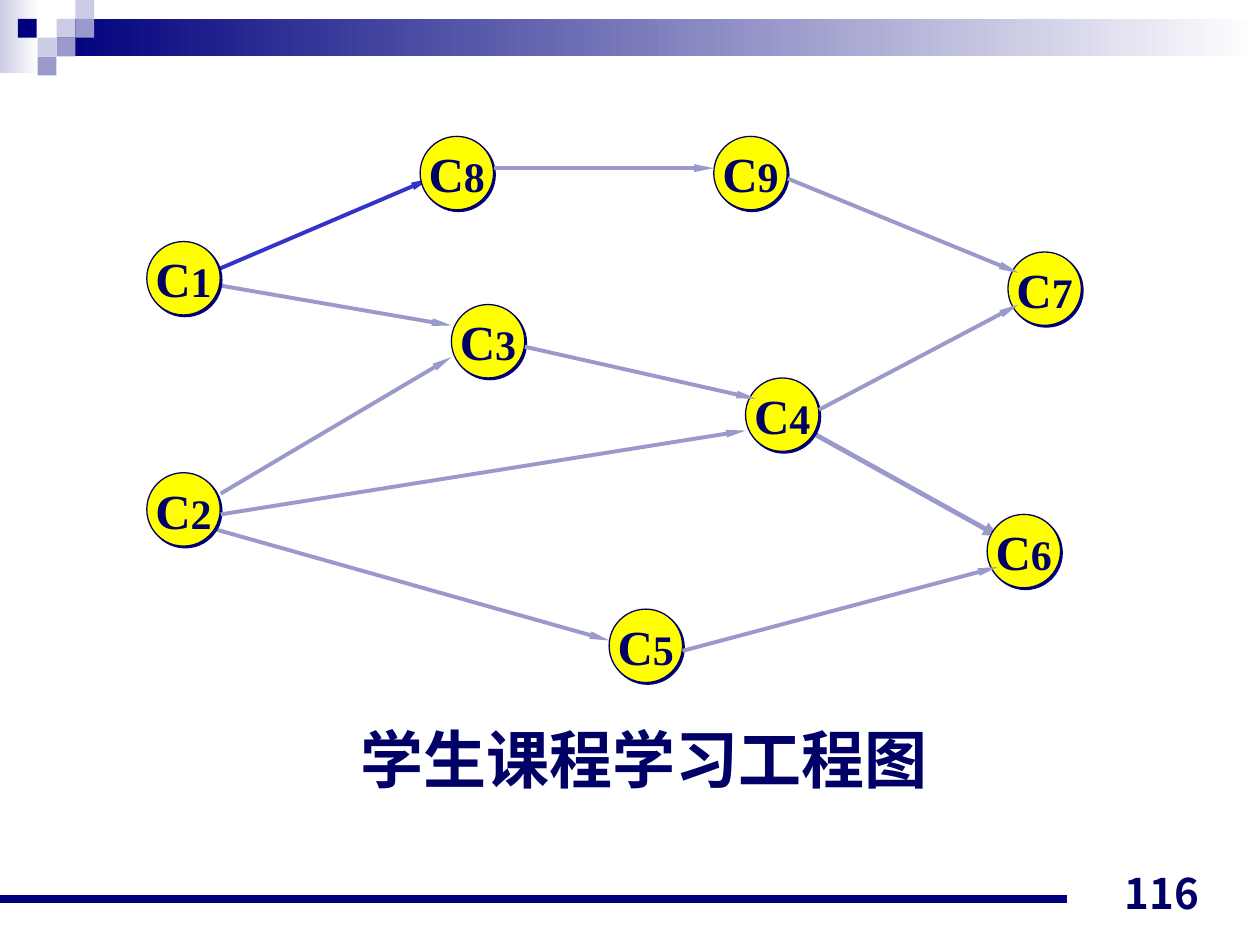
"""Build the course-study project graph slide."""
from typing import NamedTuple

from lxml.etree import SubElement
from pptx import Presentation
from pptx.dml.color import RGBColor
from pptx.enum.shapes import MSO_CONNECTOR, MSO_SHAPE
from pptx.enum.text import MSO_ANCHOR, PP_ALIGN
from pptx.oxml.ns import qn
from pptx.util import Cm, Pt

NAVY, INK, BLUE = "00007D", "000066", "3333CC"
LIGHT, MID, WHITE, YELLOW = "CCCCE6", "9999CC", "FFFFFF", "FFFF00"
SERIF, SANS = "Times New Roman", "Noto Sans CJK JP"
SQUARE, NODE = 0.38, 1.48


class Square(NamedTuple):
    col: float
    row: int
    color: str


class Band(NamedTuple):
    x: float
    y: float
    w: float
    h: float
    color: str


class Node(NamedTuple):
    number: str
    x: float
    y: float


class Edge(NamedTuple):
    x1: float
    y1: float
    x2: float
    y2: float
    color: str = MID
    width: float = 2.25
    head: tuple[str, str] | None = ("sm", "lg")


BANDS = [Band(0, 0, 0.79, 1.47, LIGHT), Band(1.14, 0.38, 24.26, 0.76, NAVY)]
SQUARES = [
    Square(3, 1, LIGHT), Square(4, 0, LIGHT), Square(4, 1, MID),
    Square(2, 2, LIGHT), Square(0.95, 1, NAVY), Square(3, 2, MID),
    Square(2, 3, MID),
]
FOOTER_RULE = Edge(0, 18.13, 21.51, 18.13, NAVY, 4.5, None)
BACK_EDGES = [
    Edge(16.31, 8.69, 20.11, 10.8, width=2.75, head=("med", "med")),
    Edge(4.02, 10.58, 12.28, 12.91),
    Edge(4.45, 9.95, 9.1, 7.2),
    Edge(4.23, 5.72, 9.1, 6.56),
    Edge(4.23, 5.5, 8.68, 3.6, BLUE),
]
NODES = [
    Node("8", 8.47, 2.75), Node("3", 9.1, 6.14), Node("5", 12.28, 12.28),
    Node("4", 15.03, 7.62), Node("9", 14.39, 2.75), Node("6", 19.9, 10.37),
    Node("7", 20.32, 5.08), Node("1", 2.96, 4.87), Node("2", 2.96, 9.53),
]
FRONT_EDGES = [
    Edge(9.95, 3.39, 14.39, 3.39),
    Edge(10.58, 6.99, 15.24, 8.04),
    Edge(4.45, 10.37, 15.03, 8.68),
    Edge(15.88, 3.6, 20.53, 5.5),
    Edge(16.51, 8.26, 20.53, 6.14),
    Edge(13.76, 13.12, 20.11, 11.43),
]


def rgb(color: str) -> RGBColor:
    return RGBColor.from_string(color)


def add_shape(s, kind, x: float, y: float, w: float, h: float):
    sp = s.shapes.add_shape(kind, Cm(x), Cm(y), Cm(w), Cm(h))
    sp.shadow.inherit = False
    sp.line.fill.background()
    return sp


def add_band(s, band: Band) -> None:
    sp = add_shape(s, MSO_SHAPE.RECTANGLE, band.x, band.y, band.w, band.h)
    sp.fill.gradient()
    sp.fill.gradient_angle = 0
    for stop, color in zip(sp.fill.gradient_stops, (band.color, WHITE)):
        stop.color.rgb = rgb(color)


def add_square(s, square: Square) -> None:
    sp = add_shape(s, MSO_SHAPE.RECTANGLE, square.col * SQUARE,
                   square.row * SQUARE, SQUARE, SQUARE)
    sp.fill.solid()
    sp.fill.fore_color.rgb = rgb(square.color)


def add_edge(s, edge: Edge) -> None:
    line = s.shapes.add_connector(MSO_CONNECTOR.STRAIGHT, Cm(edge.x1),
                                  Cm(edge.y1), Cm(edge.x2), Cm(edge.y2))
    line.line.color.rgb = rgb(edge.color)
    line.line.width = Pt(edge.width)
    props = line._element.spPr
    if edge.head:
        width, length = edge.head
        SubElement(props.find(qn("a:ln")), qn("a:tailEnd"),
                   type="triangle", w=width, len=length)
    SubElement(props, qn("a:effectLst"))


def style(p, font: str) -> None:
    p.font.name = font
    p.font.bold = True
    p.font.color.rgb = rgb(INK)


def add_node(s, node: Node) -> None:
    sp = add_shape(s, MSO_SHAPE.OVAL, node.x, node.y, NODE, NODE)
    sp.fill.solid()
    sp.fill.fore_color.rgb = rgb(YELLOW)
    sp.line.color.rgb = rgb(INK)
    sp.line.width = Pt(0.75)
    shadow = SubElement(sp._element.spPr.find(qn("a:effectLst")),
                        qn("a:outerShdw"), dist=str(Pt(1.4)),
                        dir="2700000", algn="ctr", rotWithShape="0")
    SubElement(shadow, qn("a:srgbClr"), val=NAVY)
    tf = sp.text_frame
    tf.word_wrap = False
    tf.vertical_anchor = MSO_ANCHOR.MIDDLE
    p = tf.paragraphs[0]
    p.alignment = PP_ALIGN.CENTER
    style(p, SERIF)
    for text, size in (("C", 28), (node.number, 24)):
        r = p.add_run()
        r.text = text
        r.font.size = Pt(size)


def add_text(s, text: str, x: float, y: float, w: float, h: float,
             size: float, font: str):
    tb = s.shapes.add_textbox(Cm(x), Cm(y), Cm(w), Cm(h))
    p = tb.text_frame.paragraphs[0]
    p.text = text
    p.font.size = Pt(size)
    style(p, font)
    return tb.text_frame


def main() -> None:
    prs = Presentation()
    prs.slide_width, prs.slide_height = Cm(25.4), Cm(19.05)
    s = prs.slides.add_slide(prs.slide_layouts[6])
    for band in BANDS:
        add_band(s, band)
    for square in SQUARES:
        add_square(s, square)
    for edge in [FOOTER_RULE, *BACK_EDGES]:
        add_edge(s, edge)
    add_text(s, "学生课程学习工程图", 7.01, 14.4, 11.94, 1.78, 36, SERIF)
    for node in NODES:
        add_node(s, node)
    for edge in FRONT_EDGES:
        add_edge(s, edge)
    tf = add_text(s, "116", 18.49, 17.35, 5.93, 1.27, 24, SANS)
    tf.word_wrap = True
    tf.vertical_anchor = MSO_ANCHOR.BOTTOM
    tf.paragraphs[0].alignment = PP_ALIGN.RIGHT
    prs.save("out.pptx")


if __name__ == "__main__":
    main()
